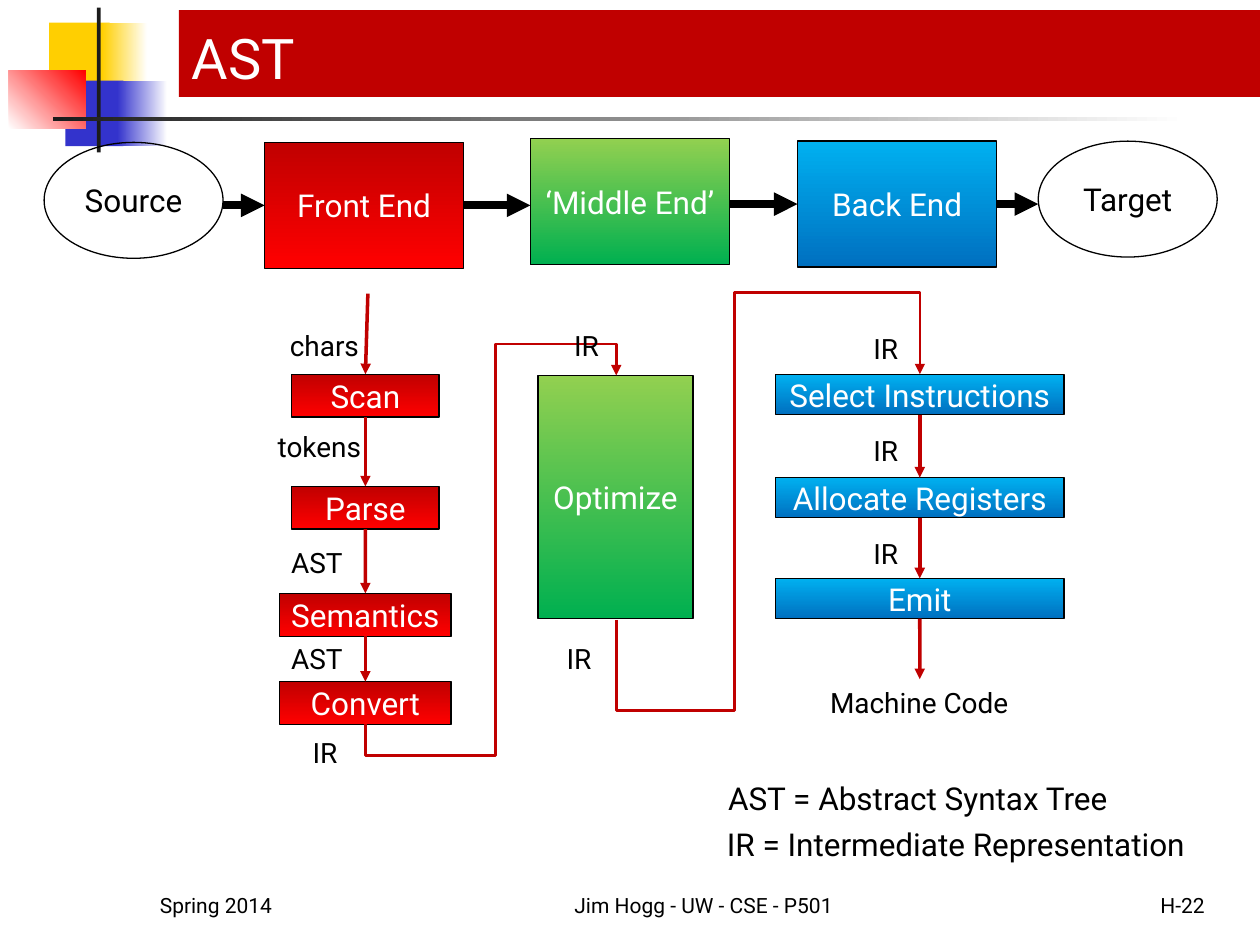
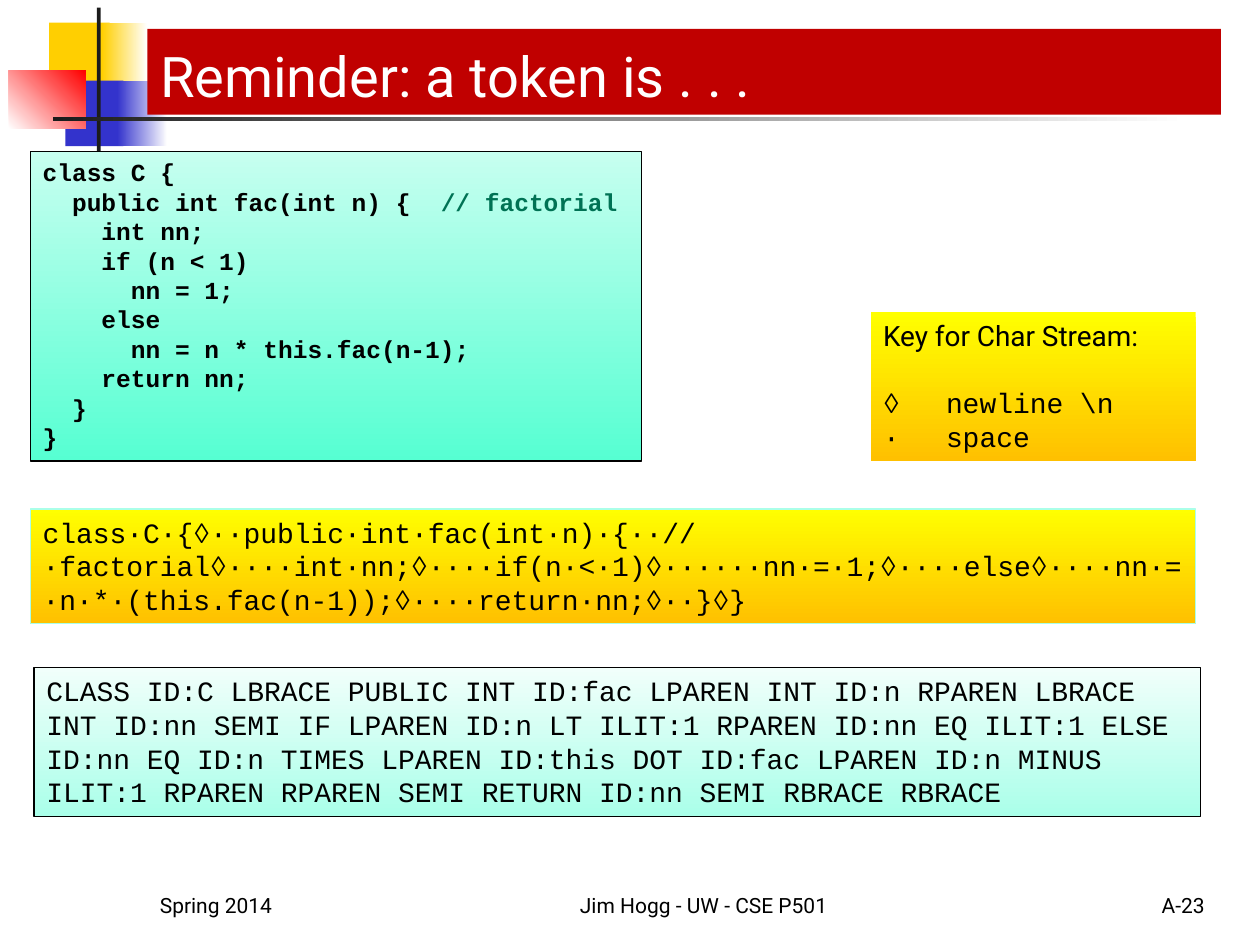
"""Builds two compiler-course slides: the compiler pipeline and a token reminder."""
import pptx
import pptx.shapes.shapetree
import pptx.util
from lxml import etree
from pptx.dml.color import RGBColor
from pptx.enum.shapes import MSO_CONNECTOR, MSO_SHAPE
from pptx.enum.text import MSO_ANCHOR, MSO_AUTO_SIZE, PP_ALIGN
from pptx.oxml.ns import qn
from pptx.util import Inches

COLORS = {
    "black": "000000", "white": "FFFFFF", "ink": "1C1C1C", "band": "C00000",
    "red": "FF0000", "gold": "FFCF01", "navy": "3333CC", "comment": "007254",
    "lime": "92D050", "green": "00B050", "sky": "00B0F0", "blue": "0070C0",
    "yellow": "FFFF00", "amber": "FFC000", "mint": "C7FFF0", "aqua": "56FFD2",
    "frost": "F1FFFB", "pale": "AAFFE9",
}
FONT, CODE = "Roboto", "Courier New"
FRONT, MIDDLE, BACK = ("band", "red"), ("lime", "green"), ("sky", "blue")
KEY = ("yellow", "amber")
LEFT, CENTER, RIGHT = PP_ALIGN.LEFT, PP_ALIGN.CENTER, PP_ALIGN.RIGHT

CODE_LINES = [
    "class C {",
    "  public int fac(int n) {  // factorial",
    "    int nn;",
    "    if (n < 1)",
    "      nn = 1;",
    "    else",
    "      nn = n * this.fac(n-1);",
    "    return nn;",
    "  }",
    "}",
]
CHAR_STREAM = (
    "class∙C∙{◊∙∙public∙int∙fac(int∙n)∙{∙∙//∙factorial◊∙∙∙∙int∙nn;◊∙∙∙∙if(n∙<∙1)◊"
    "∙∙∙∙∙∙nn∙=∙1;◊∙∙∙∙else◊∙∙∙∙nn∙=∙n∙*∙(this.fac(n-1));◊∙∙∙∙return∙nn;◊∙∙}◊}"
)
TOKEN_STREAM = (
    "CLASS ID:C LBRACE PUBLIC INT ID:fac LPAREN INT ID:n RPAREN LBRACE "
    "INT ID:nn SEMI IF LPAREN ID:n LT ILIT:1 RPAREN ID:nn EQ ILIT:1 ELSE "
    "ID:nn EQ ID:n TIMES LPAREN ID:this DOT ID:fac LPAREN ID:n MINUS "
    "ILIT:1 RPAREN RPAREN SEMI RETURN ID:nn SEMI RBRACE RBRACE"
)


def rgb(name):
    """Return the named colour."""
    return RGBColor.from_string(COLORS[name])


def paint(fill, colors, angle=90):
    """Fill with nothing, one colour, or a two-colour gradient turned clockwise."""
    if not colors:
        fill.background()
    elif isinstance(colors, str):
        fill.solid()
        fill.fore_color.rgb = rgb(colors)
    else:
        fill.gradient()
        fill.gradient_angle = (360 - angle) % 360
        for stop, name in zip(fill.gradient_stops, colors):
            stop.color.rgb = rgb(name)


def add_run(p, text, size, color="black", font=FONT, bold=False):
    """Add one formatted run to a paragraph."""
    r = p.add_run()
    r.text = text
    r.font.size = pptx.util.Pt(size)
    r.font.name = font
    r.font.bold = bold
    r.font.color.rgb = rgb(color)


def add_paragraph(tf, index, align=LEFT):
    """Return the first paragraph of a frame, or a new one after it."""
    p = tf.add_paragraph() if index else tf.paragraphs[0]
    p.alignment = align
    return p


def add_box(shapes, at, fill=None, line="black", kind=MSO_SHAPE.RECTANGLE, angle=90):
    """Add a preset shape with plain fill and line."""
    sp = shapes.add_shape(kind, *map(Inches, at))
    sp.shadow.inherit = False
    paint(sp.fill, fill, angle)
    paint(sp.line.fill, line)
    if line:
        sp.line.width = pptx.util.Pt(0.75)
    return sp


def add_node(slide, at, text, fill=None, kind=MSO_SHAPE.RECTANGLE):
    """Add a pipeline shape with centred text."""
    sp = add_box(slide.shapes, at, fill, kind=kind)
    tf = sp.text_frame
    tf.word_wrap = False
    tf.vertical_anchor = MSO_ANCHOR.MIDDLE
    add_run(add_paragraph(tf, 0, CENTER), text, 18, "white" if fill else "black")
    return sp


def add_label(slide, at, text, size=16, align=CENTER, anchor=MSO_ANCHOR.TOP):
    """Add a text box with one line of text."""
    tf = slide.shapes.add_textbox(*map(Inches, at)).text_frame
    tf.word_wrap = True
    tf.vertical_anchor = anchor
    add_run(add_paragraph(tf, 0, align), text, size)


def add_panel(slide, at, fill, line="black"):
    """Add a gradient panel and return its text frame."""
    tf = add_box(slide.shapes, at, fill, line).text_frame
    tf.word_wrap = True
    tf.vertical_anchor = MSO_ANCHOR.TOP
    return tf


def add_arrow(slide, start, end, color="band", width=2, begin=None, finish=None,
              kind=MSO_CONNECTOR.STRAIGHT):
    """Add an arrow, joined to the (shape, site) pairs that are given."""
    c = slide.shapes.add_connector(kind, *map(Inches, (*start, *end)))
    if begin:
        c.begin_connect(*begin)
    if finish:
        c.end_connect(*finish)
    c.line.width = pptx.util.Pt(width)
    c.line.color.rgb = rgb(color)
    ln = c._element.spPr.find(qn("a:ln"))
    etree.SubElement(ln, qn("a:tailEnd")).set("type", "triangle")
    etree.SubElement(c._element.spPr, qn("a:effectLst"))
    return c


def add_detour(slide, start, end, low, across, high):
    """Add an elbow arrow that dips to low, rises at across, and enters from high."""
    (x1, y1), (x2, y2) = start, end
    c = add_arrow(slide, start, end, width=1.5, kind=MSO_CONNECTOR.ELBOW)
    w, h = y1 - y2, x2 - x1
    c.left, c.top = Inches((x1 + x2 - w) / 2), Inches((y1 + y2 - h) / 2)
    c.width, c.height = Inches(w), Inches(h)
    xfrm = c._element.spPr.find(qn("a:xfrm"))
    for name, value in (("rot", "5400000"), ("flipH", "1"), ("flipV", "1")):
        xfrm.set(name, value)
    geom = c._element.spPr.find(qn("a:prstGeom"))
    geom.set("prst", "bentConnector5")
    guides = geom.find(qn("a:avLst"))
    if guides is None:
        guides = etree.SubElement(geom, qn("a:avLst"))
    for i, ratio in enumerate(((y1 - low) / w, (across - x1) / h, (y1 - high) / w), 1):
        gd = etree.SubElement(guides, qn("a:gd"))
        gd.set("name", f"adj{i}")
        gd.set("fmla", f"val {round(ratio * 100000)}")


def decorate_layout(layout):
    """Draw the coloured squares and the crossing rules on the layout."""
    shapes = pptx.shapes.shapetree.SlideShapes(layout.shapes._spTree, layout)
    for at, fill, angle in (
        ((0.39, 0.18, 0.48, 0.52), "gold", 0),
        ((0.81, 0.18, 0.36, 0.52), ("gold", "white"), 0),
        ((0.52, 0.64, 0.46, 0.52), "navy", 0),
        ((0.93, 0.64, 0.4, 0.52), ("navy", "white"), 0),
        ((0.07, 0.56, 0.61, 0.46), ("white", "red"), 315),
        ((0.77, 0.06, 0.03, 1.15), "ink", 0),
        ((0.42, 0.93, 9, 0.03), ("ink", "white"), 0),
    ):
        add_box(shapes, at, fill, None, angle=angle)


def add_slide(prs, layout, title, title_at, course, number):
    """Add a slide with its title band and footer."""
    slide = prs.slides.add_slide(layout)
    sp = slide.shapes.title
    sp.left, sp.top, sp.width, sp.height = map(Inches, title_at)
    paint(sp.fill, "band")
    tf = sp.text_frame
    tf.auto_size = MSO_AUTO_SIZE.NONE
    tf.vertical_anchor = MSO_ANCHOR.BOTTOM
    add_run(add_paragraph(tf, 0), title, 32, "white")
    for x, w, text, align in ((1.17, 2.08, "Spring 2014", LEFT),
                              (4, 3.17, course, CENTER),
                              (7.58, 2.08, number, RIGHT)):
        add_label(slide, (x, 6.83, w, 0.5), text, 12, align, MSO_ANCHOR.BOTTOM)
    return slide


def add_stages(slide, center, stages, height, fill):
    """Add a column of stage boxes joined by downward arrows."""
    nodes = [add_node(slide, (center - w / 2, y, w, height), text, fill)
             for text, y, w in stages]
    for upper, lower in zip(nodes, nodes[1:]):
        add_arrow(slide, (0, 0), (0, 0), begin=(upper, 2), finish=(lower, 0))
    return nodes


def build_pipeline(slide):
    """Draw the compiler phases and the stages inside each."""
    add_node(slide, (0.35, 1.13, 1.42, 0.92), "Source", kind=MSO_SHAPE.OVAL)
    add_node(slide, (8.24, 1.12, 1.42, 0.92), "Target", kind=MSO_SHAPE.OVAL)
    front = add_node(slide, (2.1, 1.13, 1.58, 1), "Front End", FRONT)
    add_node(slide, (4.21, 1.1, 1.58, 1), "‘Middle End’", MIDDLE)
    back = add_node(slide, (6.33, 1.12, 1.58, 1), "Back End", BACK)
    for x1, x2, y, begin, finish in ((1.77, 2.1, 1.63, None, (front, 1)),
                                     (3.68, 4.21, 1.63, (front, 3), None),
                                     (5.79, 6.33, 1.62, None, (back, 1)),
                                     (7.91, 8.24, 1.62, (back, 3), None)):
        add_arrow(slide, (x1, y), (x2, y), "black", 4.5, begin, finish)

    front_stages = add_stages(slide, 2.9, (
        ("Scan", 2.97, 1.17), ("Parse", 3.86, 1.17),
        ("Semantics", 4.71, 1.36), ("Convert", 5.41, 1.36)), 0.34, FRONT)
    add_node(slide, (4.27, 2.98, 1.23, 1.93), "Optimize", MIDDLE)
    back_stages = add_stages(slide, 7.3, (
        ("Select Instructions", 2.97, 2.29), ("Allocate Registers", 3.79, 2.29),
        ("Emit", 4.59, 2.29)), 0.32, BACK)
    add_arrow(slide, (2.92, 2.33), (2.9, 2.97), finish=(front_stages[0], 0))
    add_arrow(slide, (7.3, 4.91), (7.3, 5.39), begin=(back_stages[-1], 2))
    add_detour(slide, (2.9, 5.75), (4.89, 2.98), 6, 3.93, 2.73)
    add_detour(slide, (4.89, 4.92), (7.3, 2.97), 5.64, 5.83, 2.32)

    for text, x, y, w in (
        ("chars", 1.99, 2.56, 1.17), ("tokens", 1.95, 3.36, 1.17),
        ("AST", 1.93, 4.28, 1.17), ("AST", 1.93, 5.04, 1.17),
        ("IR", 2, 5.79, 1.16), ("IR", 4.18, 2.56, 0.95), ("IR", 3.98, 5.04, 1.23),
        ("IR", 6.15, 2.58, 1.76), ("IR", 6.15, 3.39, 1.76),
        ("IR", 6.15, 4.21, 1.76), ("Machine Code", 6.15, 5.39, 2.29),
    ):
        add_label(slide, (x, y, w, 0.37), text)
    add_label(slide, (5.68, 6.13, 3.27, 0.4), "AST = Abstract Syntax Tree", 18, LEFT)
    add_label(slide, (5.67, 6.5, 3.98, 0.4), "IR = Intermediate Representation", 18, LEFT)


def build_tokens(slide):
    """Show source code, its character stream and its token stream."""
    tf = add_panel(slide, (0.24, 1.2, 4.85, 2.46), ("mint", "aqua"))
    for i, text in enumerate(CODE_LINES):
        p = add_paragraph(tf, i)
        code, mark, comment = text.partition("//")
        add_run(p, code, 14, font=CODE, bold=True)
        if mark:
            add_run(p, mark + comment, 14, "comment", CODE, True)

    tf = add_panel(slide, (0.24, 4.04, 9.25, 0.91), KEY, "pale")
    add_run(add_paragraph(tf, 0), CHAR_STREAM, 16, font=CODE)

    tf = add_panel(slide, (6.91, 2.48, 2.58, 1.18), KEY, None)
    add_run(add_paragraph(tf, 0), "Key for Char Stream:", 16)
    for i, text in enumerate(("◊\tnewline \\n", "∙\tspace"), 1):
        p = add_paragraph(tf, i)
        p.space_before = pptx.util.Pt(19 if i == 1 else 0)
        add_run(p, text, 16, font=CODE)

    tf = add_panel(slide, (0.27, 5.3, 9.26, 1.18), ("frost", "pale"))
    add_run(add_paragraph(tf, 0), TOKEN_STREAM, 16, font=CODE)


def main():
    """Build and save the presentation."""
    prs = pptx.Presentation()
    prs.slide_width, prs.slide_height = Inches(10), Inches(7.5)
    layout = prs.slide_layouts[5]
    decorate_layout(layout)
    build_pipeline(add_slide(prs, layout, "AST", (1.42, 0.08, 8.58, 0.69),
                             "Jim Hogg - UW - CSE - P501", "H-22"))
    build_tokens(add_slide(prs, layout, "Reminder: a token is . . .",
                           (1.17, 0.23, 8.52, 0.68),
                           "Jim Hogg - UW - CSE P501", "A-23"))
    prs.save("out.pptx")


if __name__ == "__main__":
    main()
